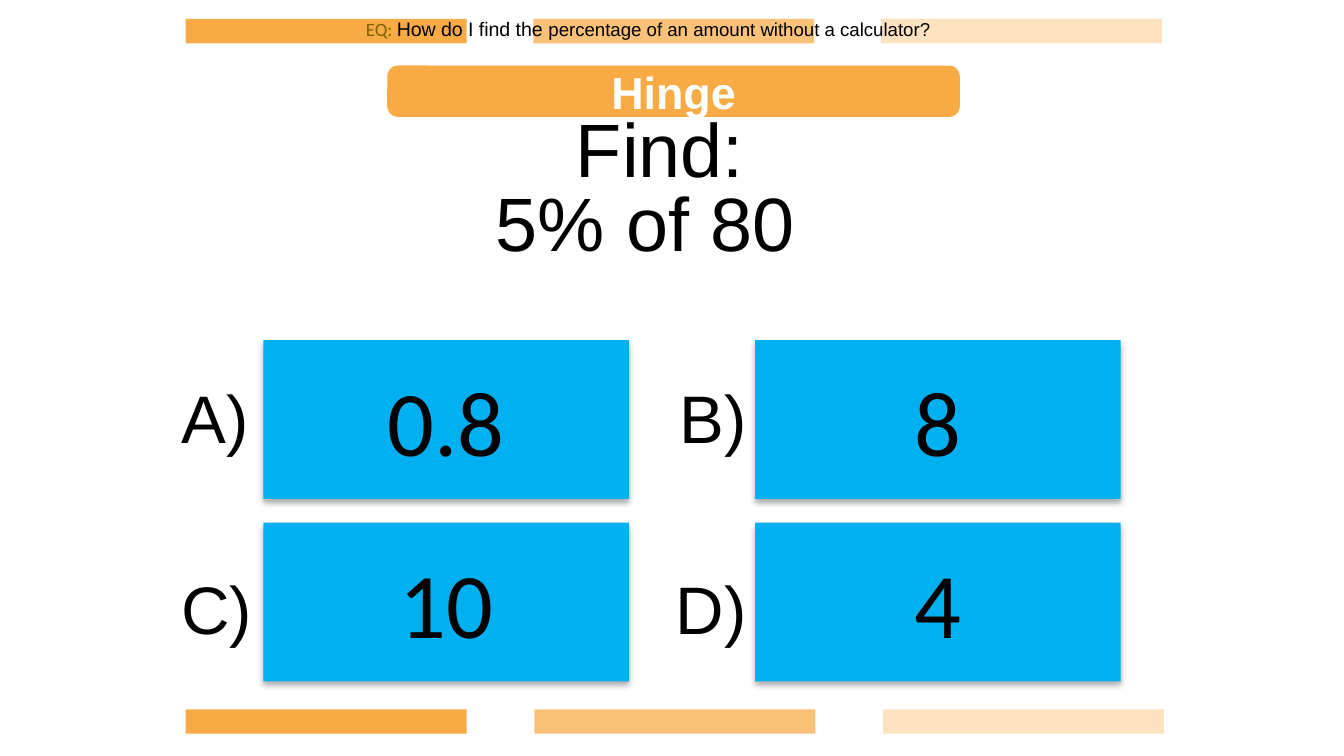
import pptx
import pptx.util
import pptx.dml.color
import pptx.enum.shapes
import pptx.enum.text
import pptx.oxml.ns
import lxml.etree

Cm = pptx.util.Cm
Pt = pptx.util.Pt
MSO_SHAPE = pptx.enum.shapes.MSO_SHAPE
ANCHOR = pptx.enum.text.MSO_ANCHOR
AUTO_SIZE = pptx.enum.text.MSO_AUTO_SIZE
ALIGN = pptx.enum.text.PP_ALIGN

COLORS = {
    "orange": "F8AB44",
    "blue": "00B0F0",
    "olive": "806000",
    "black": "000000",
    "white": "FFFFFF",
}
FORMATS = {
    "banner": {"name": "Arial", "size": Pt(24), "bold": True},
    "question": {"name": "Arial", "size": Pt(40.5), "bold": False},
    "letter": {"name": "Arial", "size": Pt(36)},
    "answer": {"name": "Calibri", "size": Pt(49.5)},
    "prefix": {"name": "Calibri", "size": Pt(10.1)},
    "lead": {"name": "Arial", "size": Pt(10.5)},
    "topic": {"name": "Arial", "size": Pt(10)},
}


def rgb(color):
    """Return the named colour as an RGB value."""
    return pptx.dml.color.RGBColor.from_string(COLORS[color])


def add_child(parent, tag, **attributes):
    """Append a drawing element with the given attributes."""
    child = lxml.etree.SubElement(parent, pptx.oxml.ns.qn(tag))
    for name, value in attributes.items():
        child.set(name, str(value))
    return child


def add_run(paragraph, text, style, color="black"):
    """Add a run in one of the named formats."""
    run = paragraph.add_run()
    run.text = text
    for name, value in FORMATS[style].items():
        setattr(run.font, name, value)
    run.font.color.rgb = rgb(color)


def write_text(shape, runs, align=ALIGN.CENTER, anchor=ANCHOR.MIDDLE,
               wrap=True, auto_size=AUTO_SIZE.NONE):
    """Write one paragraph of runs into a shape."""
    frame = shape.text_frame
    settings = {"word_wrap": wrap, "auto_size": auto_size, "vertical_anchor": anchor}
    for name, value in settings.items():
        setattr(frame, name, value)
    paragraph = frame.paragraphs[0]
    paragraph.alignment = align
    for run in runs:
        add_run(paragraph, *run)


def add_block(slide, box, color, kind=MSO_SHAPE.RECTANGLE):
    """Add a filled shape without line or shadow."""
    shape = slide.shapes.add_shape(kind, *map(Cm, box))
    shape.shadow.inherit = False
    shape.fill.solid()
    shape.fill.fore_color.rgb = rgb(color)
    shape.line.fill.background()
    return shape


def add_bars(slide, top, step):
    """Add a row of three bars that fade to the right."""
    for column, opacity in enumerate((100, 72, 34)):
        bar = add_block(slide, (3.51 + column * step, top, 5.31, 0.46), "orange")
        if opacity < 100:
            fill_color = bar.fill._xPr.find(".//" + pptx.oxml.ns.qn("a:srgbClr"))
            add_child(fill_color, "a:alpha", val=opacity * 1000)


def add_banner(slide, text):
    """Add the rounded heading banner."""
    banner = add_block(slide, (7.32, 1.24, 10.82, 0.97), "orange",
                       MSO_SHAPE.ROUNDED_RECTANGLE)
    banner.adjustments[0] = 0.21
    write_text(banner, [(text, "banner", "white")])


def add_text(slide, box, runs, **settings):
    """Add a text box holding one paragraph."""
    write_text(slide.shapes.add_textbox(*map(Cm, box)), runs, **settings)


def set_title(slide, box, text):
    """Place and format the title placeholder."""
    title = slide.shapes.title
    for name, value in zip(("left", "top", "width", "height"), box):
        setattr(title, name, Cm(value))
    write_text(title, [(text, "question")])


def add_answer(slide, left, top, text):
    """Add an answer card with a soft shadow below it."""
    card = add_block(slide, (left, top, 6.91, 3), "blue")
    effects = card._element.spPr.find(pptx.oxml.ns.qn("a:effectLst"))
    shadow = add_child(effects, "a:outerShdw", blurRad=Pt(3.5), dist=Pt(2.2),
                       dir=90 * 60000, algn="t", rotWithShape=0)
    shadow_color = add_child(shadow, "a:srgbClr", val=COLORS["black"])
    add_child(shadow_color, "a:alpha", val=32000)
    write_text(card, [(text, "answer")])


def add_letter(slide, left, top, width, text):
    """Add the letter beside an answer card."""
    add_text(slide, (left, top, width, 1.8), [(text, "letter")], align=ALIGN.LEFT,
             anchor=ANCHOR.TOP, wrap=False, auto_size=AUTO_SIZE.SHAPE_TO_FIT_TEXT)


def main():
    """Build the hinge question slide."""
    presentation = pptx.Presentation()
    presentation.slide_width = Cm(25.4)
    presentation.slide_height = Cm(14.29)
    slide = presentation.slides.add_slide(presentation.slide_layouts[5])

    set_title(slide, (4.37, 1.24, 16.21, 3.07), "Find:")
    add_bars(slide, 0.36, 6.57)
    add_bars(slide, 13.41, 6.59)
    add_banner(slide, "Hinge")
    add_text(slide, (4.29, 2.64, 16.21, 3.07), [("5% of 80 ", "question")])

    choices = (
        ("A)", 3.18, 1.8, "0.8"),
        ("B)", 12.6, 1.8, "8"),
        ("C)", 3.18, 1.85, "10"),
        ("D)", 12.52, 1.85, "4"),
    )
    for index, (letter, left, width, answer) in enumerate(choices):
        row, column = divmod(index, 2)
        add_letter(slide, left, 6.99 + row * 3.6, width, letter)
        add_answer(slide, 4.98 + column * 9.29, 6.43 + row * 3.45, answer)

    add_text(slide, (6.35, 0.2, 11.79, 1.14), [
        ("EQ: ", "prefix", "olive"),
        ("How do I find the ", "lead"),
        ("percentage of an amount without a calculator?", "topic"),
    ], anchor=ANCHOR.TOP, auto_size=AUTO_SIZE.SHAPE_TO_FIT_TEXT)

    presentation.save("out.pptx")


if __name__ == "__main__":
    main()
